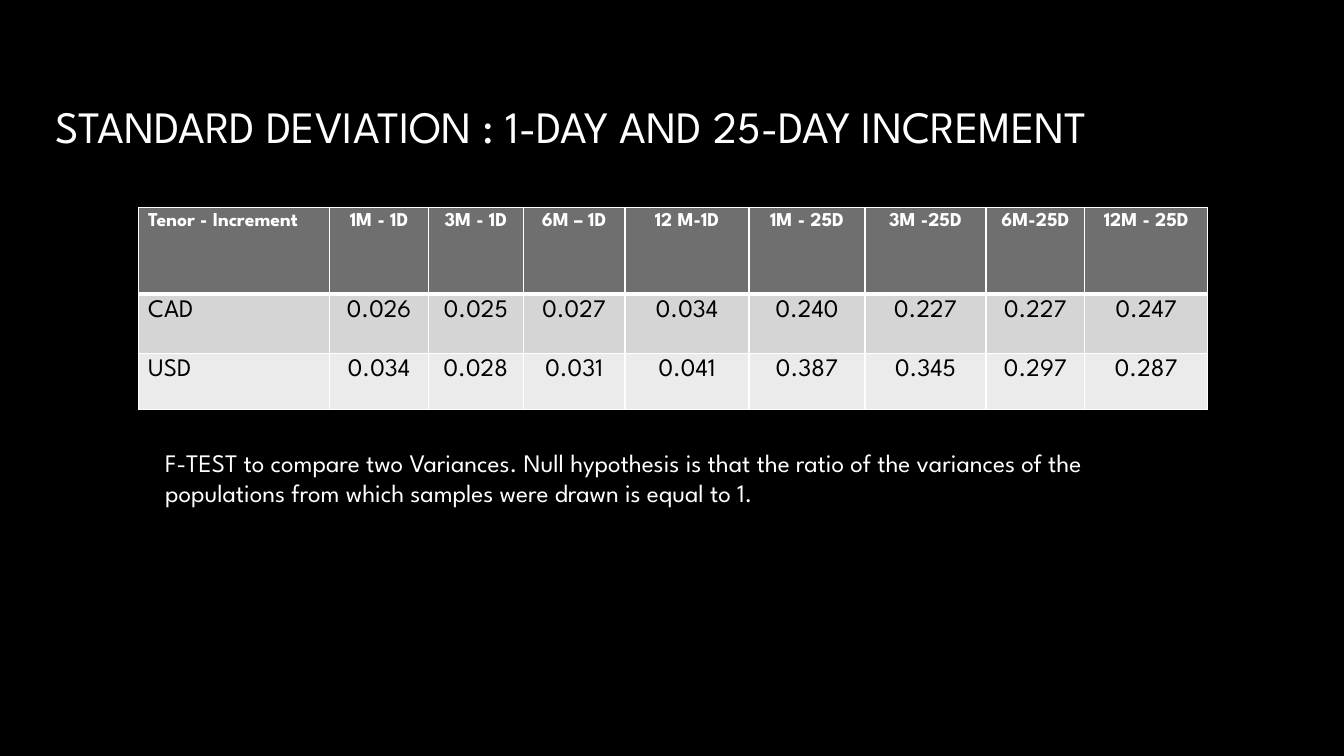
from lxml import etree
from pptx import Presentation
from pptx.dml.color import RGBColor
from pptx.enum.text import MSO_ANCHOR, PP_ALIGN
from pptx.oxml.ns import qn
from pptx.util import Inches, Pt

MIDDLE, TOP = MSO_ANCHOR.MIDDLE, MSO_ANCHOR.TOP
LEFT, CENTER = PP_ALIGN.LEFT, PP_ALIGN.CENTER
FONT = "League Spartan"
COLORS = {
    "black": "000000",
    "white": "FFFFFF",
    "header": "6F6F6F",
    "odd_row": "D5D5D5",
    "even_row": "EBEBEB",
}
COL_WIDTHS = [1.9, 0.98, 0.94, 1.01, 1.23, 1.15, 1.2, 0.98, 1.22]
ROW_HEIGHTS = [0.86, 0.59, 0.55]
DEVIATIONS = [
    ["Tenor - Increment", "1M - 1D", "3M - 1D", "6M – 1D", "12 M-1D",
     "1M - 25D", "3M -25D", "6M-25D", "12M - 25D"],
    ["CAD", "0.026", "0.025", "0.027", "0.034", "0.240", "0.227", "0.227", "0.247"],
    ["USD", "0.034", "0.028", "0.031", "0.041", "0.387", "0.345", "0.297", "0.287"],
]
# Fill, text colour, size and weight of each table row
ROW_STYLES = [
    ("header", "white", 14, True),
    ("odd_row", "black", 18, False),
    ("even_row", "black", 18, False),
]


def rgb(name):
    return RGBColor.from_string(COLORS[name])


def set_text(tf, text, size, color, bold=False, align=LEFT):
    tf.text = text
    p = tf.paragraphs[0]
    p.alignment = align
    font = p.runs[0].font
    font.name, font.size, font.bold = FONT, Pt(size), bold
    font.color.rgb = rgb(color)


def add_text(slide, x, y, w, h, text, size, anchor=TOP):
    box = slide.shapes.add_textbox(Inches(x), Inches(y), Inches(w), Inches(h))
    tf = box.text_frame
    tf.word_wrap = True
    tf.vertical_anchor = anchor
    set_text(tf, text, size, "white")


def set_borders(cell, bottom_width, top_width):
    tcPr = cell._tc.get_or_add_tcPr()
    widths = {"a:lnL": 1, "a:lnR": 1, "a:lnT": top_width, "a:lnB": bottom_width}
    for i, (tag, width) in enumerate(widths.items()):
        ln = etree.Element(qn(tag), w=str(Pt(width)))
        fill = etree.SubElement(ln, qn("a:solidFill"))
        etree.SubElement(fill, qn("a:srgbClr"), val=COLORS["white"])
        tcPr.insert(i, ln)


def add_deviation_table(slide, x, y):
    frame = slide.shapes.add_table(
        len(ROW_HEIGHTS), len(COL_WIDTHS), Inches(x), Inches(y),
        Inches(sum(COL_WIDTHS)), Inches(sum(ROW_HEIGHTS)))
    table = frame.table
    for column, width in zip(table.columns, COL_WIDTHS):
        column.width = Inches(width)
    for r, (values, height, style) in enumerate(zip(DEVIATIONS, ROW_HEIGHTS, ROW_STYLES)):
        table.rows[r].height = Inches(height)
        fill, color, size, bold = style
        for c, value in enumerate(values):
            cell = table.cell(r, c)
            cell.vertical_anchor = TOP
            cell.fill.solid()
            cell.fill.fore_color.rgb = rgb(fill)
            set_text(cell.text_frame, value, size, color, bold, CENTER if c else LEFT)
            # A heavier rule separates the header from the body
            set_borders(cell, 3 if r == 0 else 1, 3 if r == 1 else 1)


def main():
    prs = Presentation()
    prs.slide_width, prs.slide_height = Inches(13.33), Inches(7.5)
    s = prs.slides.add_slide(prs.slide_layouts[6])
    s.background.fill.solid()
    s.background.fill.fore_color.rgb = rgb("black")

    # Title
    add_text(s, 0.45, 0.21, 12.43, 2.08,
             "STANDARD DEVIATION : 1-DAY AND 25-DAY INCREMENT", 32, MIDDLE)

    # Standard deviations by tenor and increment
    add_deviation_table(s, 1.37, 2.06)

    # Test description
    add_text(s, 1.54, 4.39, 10.24, 0.71,
             "F-TEST to compare two Variances. Null hypothesis is that the ratio of the "
             "variances of the populations from which samples were drawn is equal to 1.", 18)

    prs.save("out.pptx")


if __name__ == "__main__":
    main()
